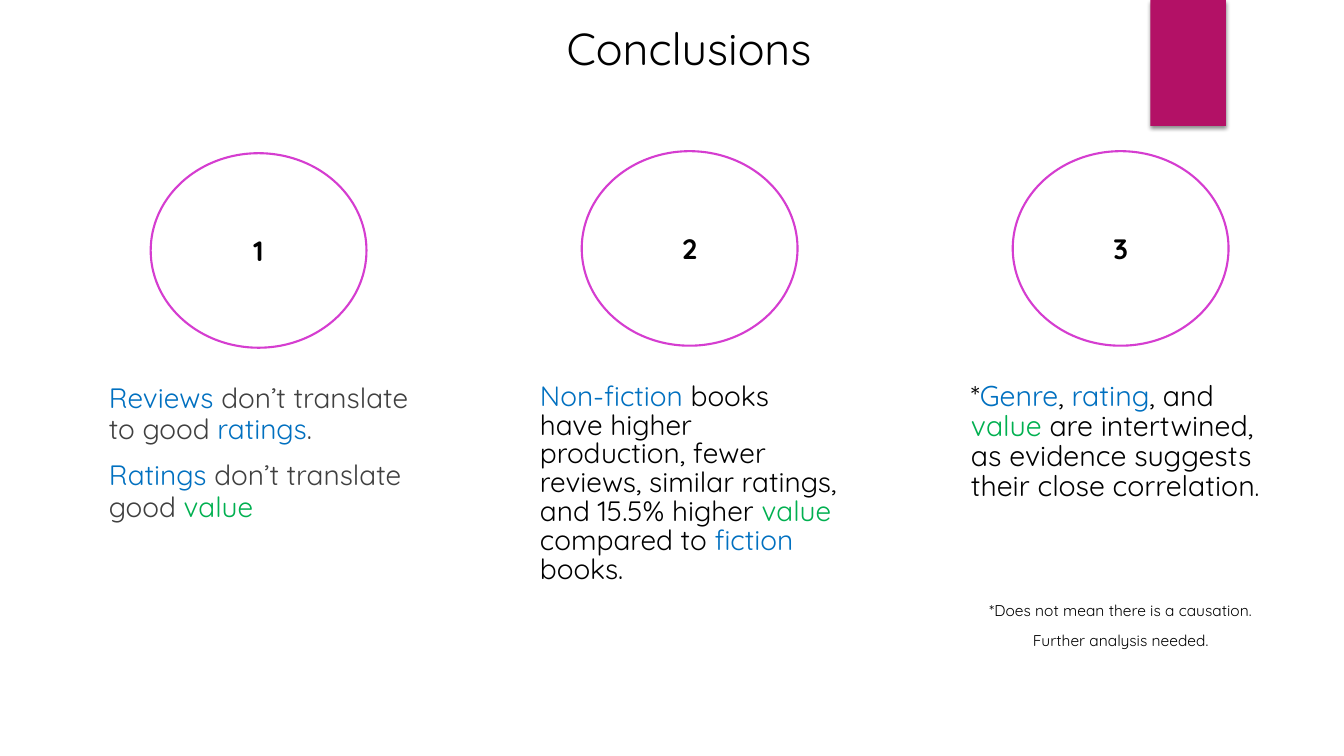
import pptx
import pptx.util
import pptx.dml.color
import pptx.enum.shapes
import pptx.enum.text
import pptx.oxml
import pptx.oxml.ns

FONT = "Quicksand"
HUES = {
    "bar": "B31166", "ring": "D53DD0", "paper": "FFFFFF",
    "ink": "000000", "gray": "404040", "blue": "0070C0", "green": "00B050",
}
ALIGN = pptx.enum.text.PP_ALIGN
ANCHOR = pptx.enum.text.MSO_ANCHOR

# Grid in inches: three equal columns
LEFT, STEP, WIDE = 0.98, 4.275, 3.17
ROW, TALL = 3.75, 2.15
RING_W, RING_H = 2.14, 1.93

# Each column: ring top, font size, line spacing, paragraphs of (words, hue[, size])
COLS = [
    (1.52, 20, 0.94, [
        [("Reviews", "blue"), (" don’t translate to good ", "gray"),
         ("ratings", "blue"), (".", "gray")],
        [("Ratings", "blue"), (" don’t translate good ", "gray"),
         ("value", "green")],
    ]),
    (1.5, 20, 0.86, [
        [("Non-fiction", "blue"),
         (" books have higher production, fewer reviews, similar ratings, "
          "and 15.5% higher ", "ink"),
         ("value", "green"), (" compared to ", "ink"),
         ("fiction", "blue"), (" books.", "ink")],
    ]),
    (1.5, 20.4, 0.87, [
        [("*", "ink"), ("Genre", "blue"), (", ", "ink"), ("rating", "blue"),
         (", and ", "ink"), ("value", "green"),
         (" are intertwined, as evidence suggests their close correlation",
          "ink"), (".", "ink", 18.5)],
    ]),
]
NOTE = [
    [("*Does not mean there is a causation.", "ink")],
    [("Further analysis needed.", "ink")],
]


def tint(name):
    return pptx.dml.color.RGBColor.from_string(HUES[name])


def place(item, *box):
    item.left, item.top, item.width, item.height = map(pptx.util.Inches, box)


def add_run(para, words, hue, size, bold=False):
    run = para.add_run()
    run.text = words
    run.font.name = FONT
    run.font.size = pptx.util.Pt(size)
    run.font.bold = bold
    run.font.color.rgb = tint(hue)


def write(holder, paras, size, lead, align=ALIGN.LEFT, gap=10):
    """Fill a placeholder with unbulleted paragraphs, run by run."""
    frame = holder.text_frame
    frame.word_wrap = True
    frame.auto_size = pptx.enum.text.MSO_AUTO_SIZE.NONE
    frame.vertical_anchor = ANCHOR.TOP
    for num, runs in enumerate(paras):
        para = frame.add_paragraph() if num else frame.paragraphs[0]
        props = para._p.get_or_add_pPr()
        props.set("marL", "0")
        props.set("indent", "0")
        props.append(pptx.oxml.parse_xml(
            "<a:buNone %s/>" % pptx.oxml.ns.nsdecls("a")))
        para.alignment = align
        para.line_spacing = lead
        para.space_before = pptx.util.Pt(gap)
        for words, hue, *own in runs:
            add_run(para, words, hue, own[0] if own else size)


def add_bar(slide):
    """Corner bar with a soft shadow below."""
    bar = slide.shapes.add_shape(
        pptx.enum.shapes.MSO_SHAPE.RECTANGLE,
        *map(pptx.util.Inches, (11.41, 0, 0.75, 1.25)))
    bar.fill.solid()
    bar.fill.fore_color.rgb = tint("bar")
    bar.line.fill.background()
    bar._element.spPr.append(pptx.oxml.parse_xml(
        '<a:effectLst %s><a:outerShdw blurRad="38100" dist="25400" '
        'dir="5400000" rotWithShape="0"><a:srgbClr val="%s">'
        '<a:alpha val="45000"/></a:srgbClr></a:outerShdw></a:effectLst>'
        % (pptx.oxml.ns.nsdecls("a"), HUES["ink"])))


def add_ring(slide, left, top, label):
    ring = slide.shapes.add_shape(
        pptx.enum.shapes.MSO_SHAPE.OVAL,
        *map(pptx.util.Inches, (left, top, RING_W, RING_H)))
    ring.shadow.inherit = False
    ring.fill.solid()
    ring.fill.fore_color.rgb = tint("paper")
    ring.line.color.rgb = tint("ring")
    ring.line.width = pptx.util.Pt(1.5)
    ring.text_frame.vertical_anchor = ANCHOR.MIDDLE
    para = ring.text_frame.paragraphs[0]
    para.alignment = ALIGN.CENTER
    add_run(para, label, "ink", 20, True)


def main():
    deck = pptx.Presentation()
    deck.slide_width = pptx.util.Inches(13.33)
    deck.slide_height = pptx.util.Inches(7.5)
    # The comparison layout holds a title and four bodies
    slide = deck.slides.add_slide(deck.slide_layouts[4])
    title, *bodies, note = slide.placeholders

    # Title and corner bar
    add_bar(slide)
    place(title, 5.32, 0.16, 3.03, 0.64)
    write(title, [[("Conclusions", "ink")]], 32, 1.0, ALIGN.CENTER, 0)

    # Numbered columns
    for num, (body, col) in enumerate(zip(bodies, COLS)):
        top, size, lead, paras = col
        left = LEFT + num * STEP
        add_ring(slide, left + (WIDE - RING_W) / 2, top, str(num + 1))
        place(body, left, ROW, WIDE, TALL)
        write(body, paras, size, lead)

    # Footnote under the last column
    place(note, LEFT + 2 * STEP, ROW + TALL + 0.03, WIDE, 0.75)
    write(note, NOTE, 11.1, 0.9, ALIGN.CENTER)

    deck.save("out.pptx")


if __name__ == "__main__":
    main()
